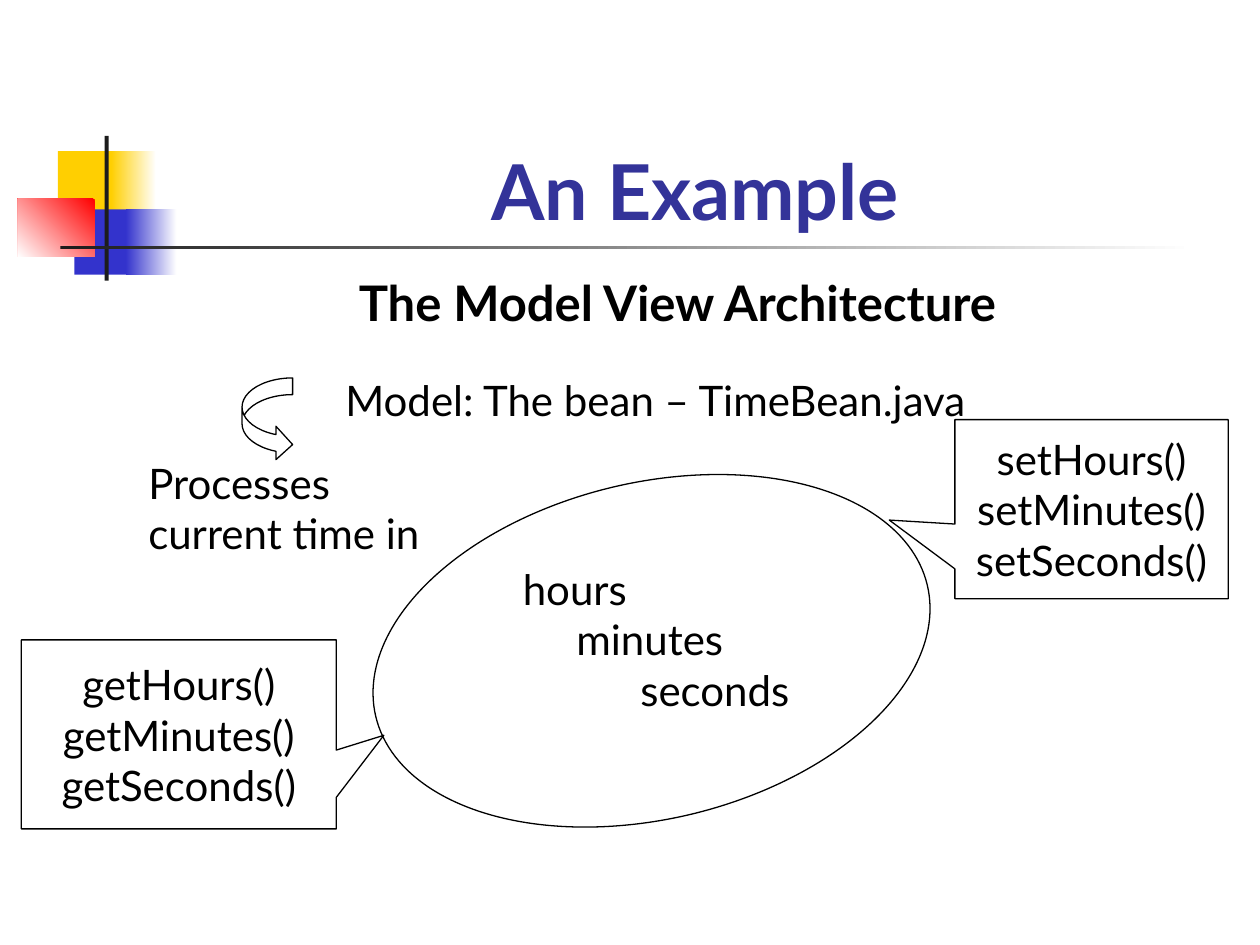
from pptx import Presentation
from pptx import util as u
from pptx.dml.color import RGBColor
from pptx.enum import shapes, text

THEME = {
    "font": "Lato", "title": 44, "subtitle": 28, "body": 24, "line": 0.75,
    "navy": "333399", "black": "000000", "white": "FFFFFF", "yellow": "FFCF01",
    "blue": "3333CC", "red": "FF0000", "dark": "1C1C1C",
}
KIND = shapes.MSO_SHAPE
ALIGN = text.PP_ALIGN
ANCHOR = text.MSO_ANCHOR

# Boxes are left, top, width, height in cm.
# Decoration: box, colours from start to end, angle (counter-clockwise).
DECORATION = [
    ((1.17, 3.05, 1.22, 1.32), ("yellow",), 0),
    ((2.24, 3.05, 0.91, 1.32), ("yellow", "white"), 0),
    ((1.50, 4.22, 1.17, 1.32), ("blue",), 0),
    ((2.54, 4.22, 1.02, 1.32), ("blue", "white"), 0),
    ((0.36, 4.01, 1.55, 1.17), ("red", "white"), 225),
    ((2.11, 2.74, 0.08, 2.92), ("dark",), 0),
    ((1.22, 4.95, 22.86, 0.08), ("dark", "white"), 0),
]
TEXTS = [
    ((3.20, 1.70, 21.64, 3.18), ["An Example"],
     dict(size="title", color="navy", bold=True, align=ALIGN.CENTER, anchor=ANCHOR.BOTTOM)),
    ((6.30, 5.36, 14.71, 1.45), ["The Model View Architecture"],
     dict(size="subtitle", bold=True, align=ALIGN.CENTER)),
    ((6.30, 7.42, 13.82, 1.27), ["Model: The bean – TimeBean.java"], dict(align=ALIGN.CENTER)),
    ((10.29, 11.23, 6.17, 3.30), ["hours", "minutes", "seconds"], dict(indents=(0, 1.08, 2.37))),
    ((2.74, 9.09, 6.20, 3.30), ["Processes current time in"], {}),
]
UNITS = ["Hours", "Minutes", "Seconds"]
# Callouts: method prefix, box, pointer offset from the centre.
CALLOUTS = [
    ("get", (0.43, 12.90, 6.35, 3.81), (0.651, 0.005)),
    ("set", (19.25, 8.46, 5.51, 3.61), (-0.74, 0.061)),
]
BEAN = (7.42, 9.73, 11.43, 6.78)
ARROW = (4.88, 7.62, 1.02, 1.68)


def rgb(name):
    return RGBColor.from_string(THEME[name])


def write(sp, lines, size="body", color="black", bold=False, align=ALIGN.LEFT,
          anchor=ANCHOR.TOP, indents=()):
    """Fill a shape with one paragraph per line; indents are in cm."""
    tf = sp.text_frame
    tf.word_wrap = True
    tf.vertical_anchor = anchor
    for i, line in enumerate(lines):
        p = tf.paragraphs[0] if i == 0 else tf.add_paragraph()
        p.alignment = align
        if indents:
            p._p.get_or_add_pPr().set("marL", str(u.Cm(indents[i])))
        r = p.add_run()
        r.text = line
        r.font.name = THEME["font"]
        r.font.size = u.Pt(THEME[size])
        r.font.bold = bold
        r.font.color.rgb = rgb(color)


def add_shape(s, kind, box, adjust=()):
    sp = s.shapes.add_shape(kind, *map(u.Cm, box))
    sp.shadow.inherit = False
    for i, value in enumerate(adjust):
        sp.adjustments[i] = value
    return sp


def add_outline(s, kind, box, adjust=()):
    sp = add_shape(s, kind, box, adjust)
    sp.fill.background()
    sp.line.color.rgb = rgb("black")
    sp.line.width = u.Pt(THEME["line"])
    return sp


def add_block(s, box, colors, angle):
    sp = add_shape(s, KIND.RECTANGLE, box)
    sp.line.fill.background()
    if len(colors) == 1:
        sp.fill.solid()
        sp.fill.fore_color.rgb = rgb(colors[0])
        return
    sp.fill.gradient()
    sp.fill.gradient_angle = angle
    for stop, color, position in zip(sp.fill.gradient_stops, colors, (0, 1)):
        stop.color.rgb = rgb(color)
        stop.position = position


def main():
    prs = Presentation()
    prs.slide_width, prs.slide_height = u.Cm(25.4), u.Cm(19.05)
    s = prs.slides.add_slide(prs.slide_layouts[6])
    for block in DECORATION:
        add_block(s, *block)
    add_outline(s, KIND.OVAL, BEAN).rotation = 346.6
    for box, lines, style in TEXTS:
        write(s.shapes.add_textbox(*map(u.Cm, box)), lines, **style)
    for prefix, box, pointer in CALLOUTS:
        sp = add_outline(s, KIND.RECTANGULAR_CALLOUT, box, pointer)
        write(sp, [f"{prefix}{unit}()" for unit in UNITS],
              align=ALIGN.CENTER, anchor=ANCHOR.MIDDLE)
    add_outline(s, KIND.CURVED_RIGHT_ARROW, ARROW, (0.33, 0.66, 0.33))
    prs.save("out.pptx")


if __name__ == "__main__":
    main()
